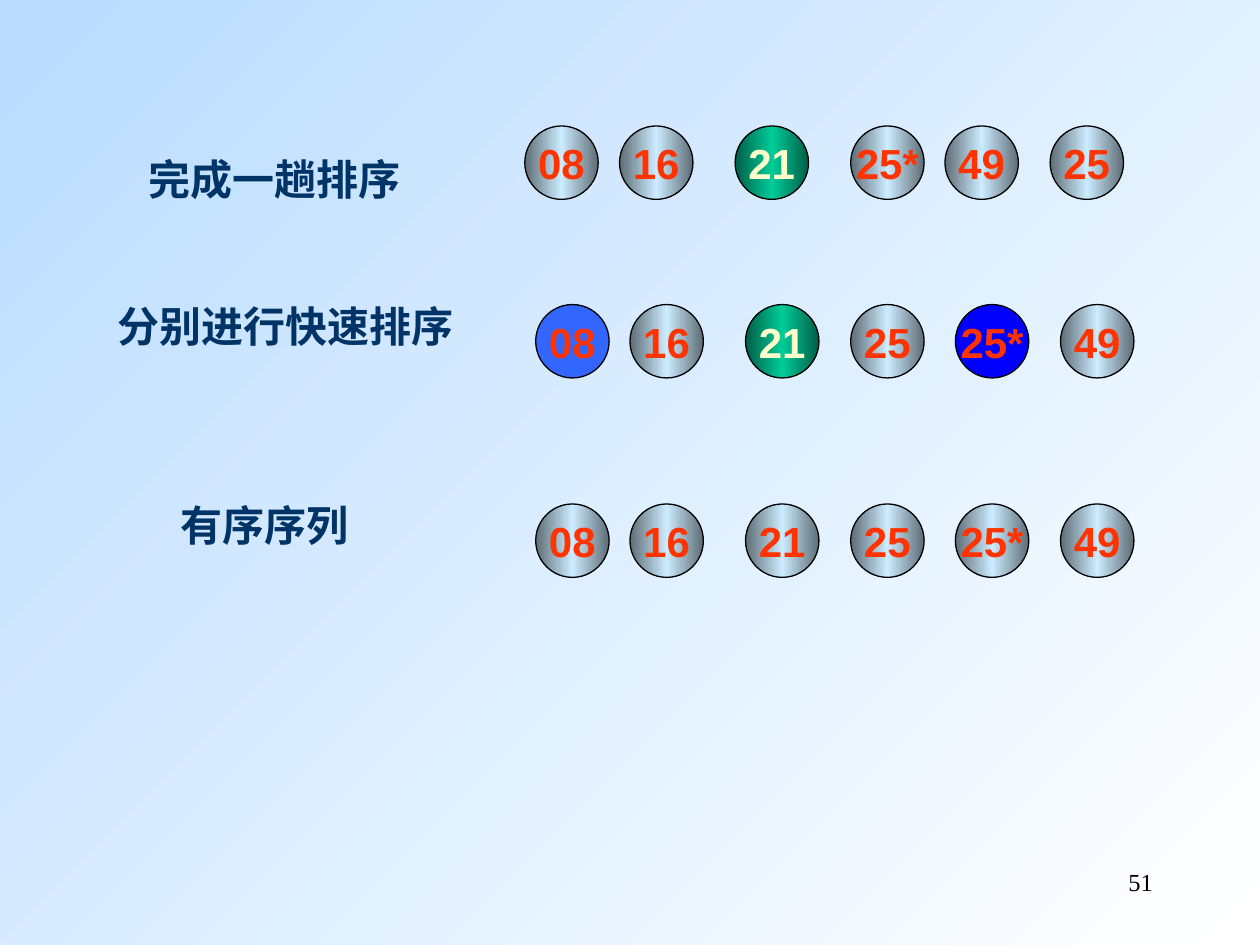
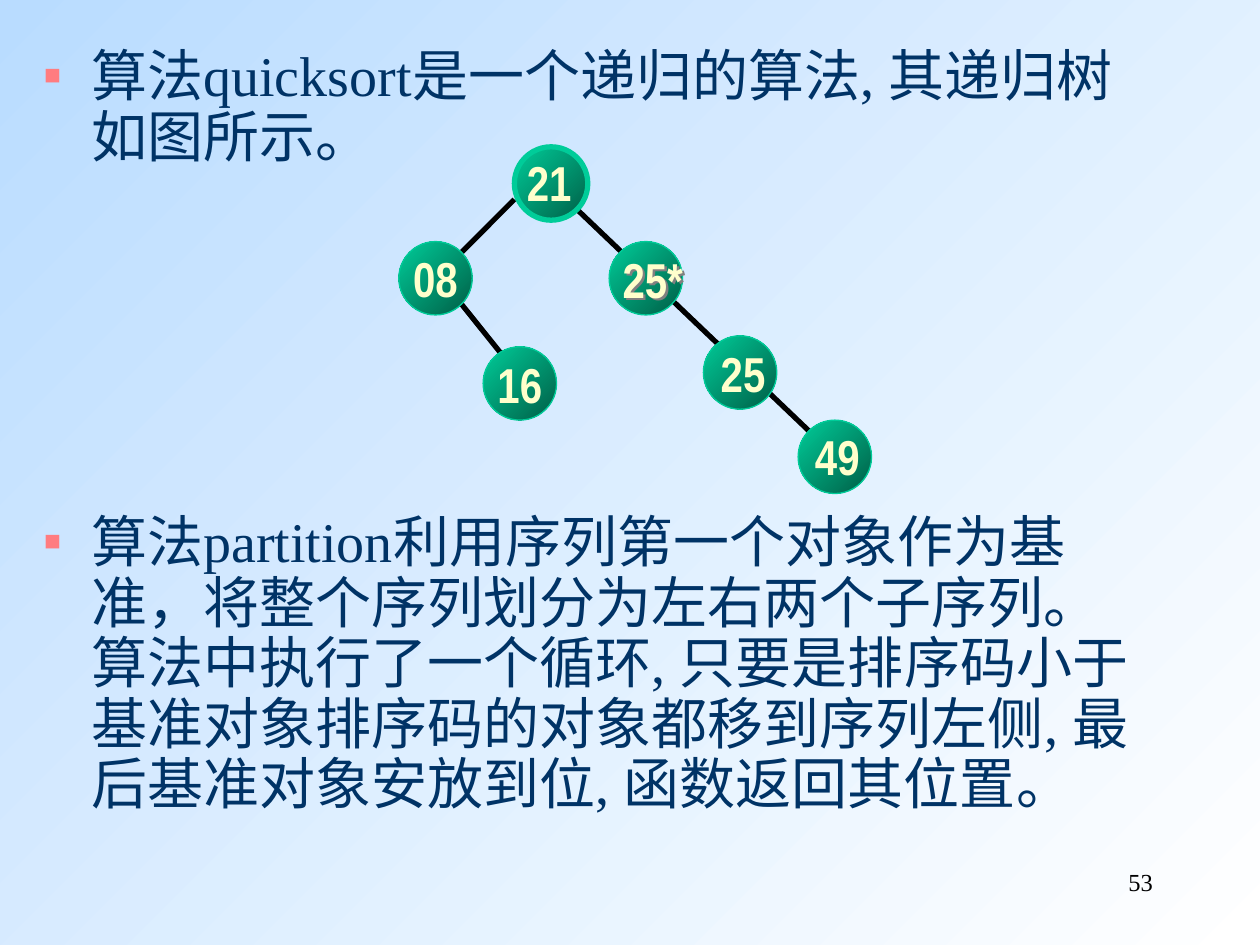
from lxml import etree
from pptx import Presentation
from pptx import util as u
from pptx.dml.color import RGBColor
from pptx.enum import shapes, text
from pptx.oxml import ns

# Colours
WHITE = RGBColor(0xFF, 0xFF, 0xFF)
SKY = RGBColor(0xB9, 0xDC, 0xFF)
NAVY = RGBColor(0x00, 0x33, 0x66)
BLACK = RGBColor(0x00, 0x00, 0x00)
STEEL = RGBColor(0x5E, 0x6C, 0x75)
ICE = RGBColor(0xCC, 0xEC, 0xFF)
DARK_GREEN = RGBColor(0x00, 0x5E, 0x46)
GREEN = RGBColor(0x00, 0xCC, 0x99)
LIGHT_BLUE = RGBColor(0x33, 0x66, 0xFF)
BLUE = RGBColor(0x00, 0x00, 0xFF)
ORANGE = RGBColor(0xFF, 0x33, 0x00)
CREAM = RGBColor(0xFF, 0xFF, 0xCC)
PINK = RGBColor(0xFF, 0x7C, 0x80)
GREY = RGBColor(0x80, 0x80, 0x80)

SERIF, SANS, NARROW = "Times New Roman", "Arial", "Arial Narrow"
BALL = 1.48

# Ball fills: gradient colours from first to last stop
PLAIN = [STEEL, ICE, STEEL]
PIVOT = [DARK_GREEN, GREEN, DARK_GREEN]
NODE = [DARK_GREEN, GREEN]

# Sorting passes: label, label box (left, top, width), ball top, balls (value, left, fill)
FIRST_LEFTS = [10.58, 12.49, 14.82, 17.15, 19.05, 21.17]
LATER_LEFTS = [10.8, 12.7, 15.03, 17.15, 19.26, 21.38]
SORTED = ["08", "16", "21", "25", "25*", "49"]
PASSES = [
    ("完成一趟排序", (2.75, 2.96, 5.72), 2.54,
     zip(["08", "16", "21", "25*", "49", "25"], FIRST_LEFTS,
         [PLAIN, PLAIN, PIVOT, PLAIN, PLAIN, PLAIN])),
    ("分别进行快速排序", (2.12, 5.93, 7.41), 6.14,
     zip(SORTED, LATER_LEFTS, [LIGHT_BLUE, PLAIN, PIVOT, PLAIN, BLUE, PLAIN])),
    ("有序序列", (3.39, 9.95, 4.23), 10.16,
     zip(SORTED, LATER_LEFTS, [PLAIN] * 6)),
]

# Recursion tree: nodes (value, left, top) and labels (value, left, top, width)
NODES = [("", 10.37, 2.96), ("08", 8.04, 4.87), ("", 12.28, 4.87),
         ("16", 9.74, 6.99), ("", 14.18, 6.77), ("", 16.09, 8.47)]
NODE_LABELS = [("21", 10.37, 2.96, 1.73), ("25*", 12.3, 4.9, 1.73),
               ("25", 14.28, 6.8, 1.4), ("49", 16.18, 8.47, 1.4)]
EDGES = [(10.37, 4.02, 9.31, 5.08), (9.31, 6.14, 10.16, 7.2),
         (11.64, 4.23, 16.3, 8.68)]
POINTS = [
    "算法quicksort是一个递归的算法, 其递归树如图所示。",
    "算法partition利用序列第一个对象作为基准，将整个序列划分为左右两个子序列。"
    "算法中执行了一个循环, 只要是排序码小于基准对象排序码的对象都移到序列左侧, "
    "最后基准对象安放到位, 函数返回其位置。",
]
TREE_SPACE = u.Pt(197)


def set_gradient(owner, fill, colors, angle):
    """Fill with evenly spaced colours; angle is counter-clockwise."""
    fill.gradient()
    fill.gradient_angle = angle
    stops = next(owner.element.iter(ns.qn("a:gsLst")))
    for stop in list(stops):
        stops.remove(stop)
    for i, color in enumerate(colors):
        position = str(100000 * i // (len(colors) - 1))
        stop = etree.SubElement(stops, ns.qn("a:gs"), pos=position)
        etree.SubElement(stop, ns.qn("a:srgbClr"), val=str(color))


def set_font(paragraph, name, size, color, bold=False):
    font = paragraph.font
    font.name, font.size, font.bold = name, u.Pt(size), bold
    font.color.rgb = color


def add_text(slide, words, left, top, width, size, color, bold=False,
             align=text.PP_ALIGN.LEFT, font=SERIF, height=1.27, wrap=True):
    box = slide.shapes.add_textbox(u.Cm(left), u.Cm(top), u.Cm(width), u.Cm(height))
    box.text_frame.word_wrap = wrap
    paragraph = box.text_frame.paragraphs[0]
    paragraph.text, paragraph.alignment = words, align
    set_font(paragraph, font, size, color, bold)
    return box


def add_ball(slide, value, left, top, fill, angle, outline, outline_width,
             font, size, color):
    ball = slide.shapes.add_shape(shapes.MSO_SHAPE.OVAL, u.Cm(left), u.Cm(top),
                                  u.Cm(BALL), u.Cm(BALL))
    ball.shadow.inherit = False
    if isinstance(fill, RGBColor):
        ball.fill.solid()
        ball.fill.fore_color.rgb = fill
    else:
        set_gradient(ball, ball.fill, fill, angle)
    ball.line.color.rgb = outline
    ball.line.width = u.Pt(outline_width)
    if value:
        frame = ball.text_frame
        frame.word_wrap = False
        frame.vertical_anchor = text.MSO_ANCHOR.MIDDLE
        paragraph = frame.paragraphs[0]
        paragraph.text, paragraph.alignment = value, text.PP_ALIGN.CENTER
        set_font(paragraph, font, size, color, True)


def add_shadow(box):
    """Cast a small grey shadow from the text of an unfilled box."""
    effects = etree.SubElement(box.element.spPr, ns.qn("a:effectLst"))
    shadow = etree.SubElement(effects, ns.qn("a:outerShdw"),
                              dist="25400", dir="2700000")
    etree.SubElement(shadow, ns.qn("a:srgbClr"), val=str(GREY))


def add_edge(slide, x1, y1, x2, y2):
    edge = slide.shapes.add_connector(shapes.MSO_CONNECTOR.STRAIGHT,
                                      u.Cm(x1), u.Cm(y1), u.Cm(x2), u.Cm(y2))
    edge.line.color.rgb = BLACK
    edge.line.width = u.Pt(3)
    etree.SubElement(edge.element.spPr, ns.qn("a:effectLst"))


def add_bullet(paragraph):
    properties = paragraph._p.get_or_add_pPr()
    indent = u.Cm(0.95)
    properties.set("marL", str(indent))
    properties.set("indent", str(-indent))
    properties.set("hangingPunct", "0")
    color = etree.SubElement(properties, ns.qn("a:buClr"))
    etree.SubElement(color, ns.qn("a:srgbClr"), val=str(PINK))
    etree.SubElement(properties, ns.qn("a:buSzPct"), val="50000")
    etree.SubElement(properties, ns.qn("a:buFont"), typeface=SERIF)
    etree.SubElement(properties, ns.qn("a:buChar"), char="■")


def add_points(slide, points, gap):
    box = slide.shapes.add_textbox(u.Cm(0.64), u.Cm(0.85), u.Cm(22.86), u.Cm(16.93))
    frame = box.text_frame
    frame.word_wrap = True
    for i, point in enumerate(points):
        paragraph = frame.add_paragraph() if i else frame.paragraphs[0]
        paragraph.text = point
        add_bullet(paragraph)
        paragraph.line_spacing = 0.9
        if i:
            paragraph.space_before = gap
        set_font(paragraph, SERIF, 32, NAVY)


def add_slide(prs, number):
    slide = prs.slides.add_slide(prs.slide_layouts[6])
    add_text(slide, number, 18.2, 17.36, 5.29, 14, BLACK, align=text.PP_ALIGN.RIGHT)
    return slide


def main():
    prs = Presentation()
    prs.slide_width, prs.slide_height = u.Cm(25.4), u.Cm(19.05)
    master = prs.slide_master
    set_gradient(master, master.background.fill, [WHITE, SKY], 135)

    # Passes of the sort
    slide = add_slide(prs, "51")
    for label, label_box, ball_top, balls in PASSES:
        add_text(slide, label, *label_box, 24, NAVY, bold=True)
        for value, left, fill in balls:
            color = CREAM if fill is PIVOT else ORANGE
            add_ball(slide, value, left, ball_top, fill, 180, BLACK, 0.75,
                     SANS, 24, color)

    # Recursion tree between the two points
    slide = add_slide(prs, "53")
    add_points(slide, POINTS, TREE_SPACE)
    for edge in EDGES:
        add_edge(slide, *edge)
    for i, node in enumerate(NODES):
        outline_width = 0.75 if i else 3
        add_ball(slide, *node, NODE, 135, GREEN, outline_width, NARROW, 28, CREAM)
    for label in NODE_LABELS:
        box = add_text(slide, *label, 28, CREAM, bold=True, font=NARROW,
                       height=1.44, wrap=False)
        if label[0] == "25*":
            add_shadow(box)

    prs.save("out.pptx")


if __name__ == "__main__":
    main()
